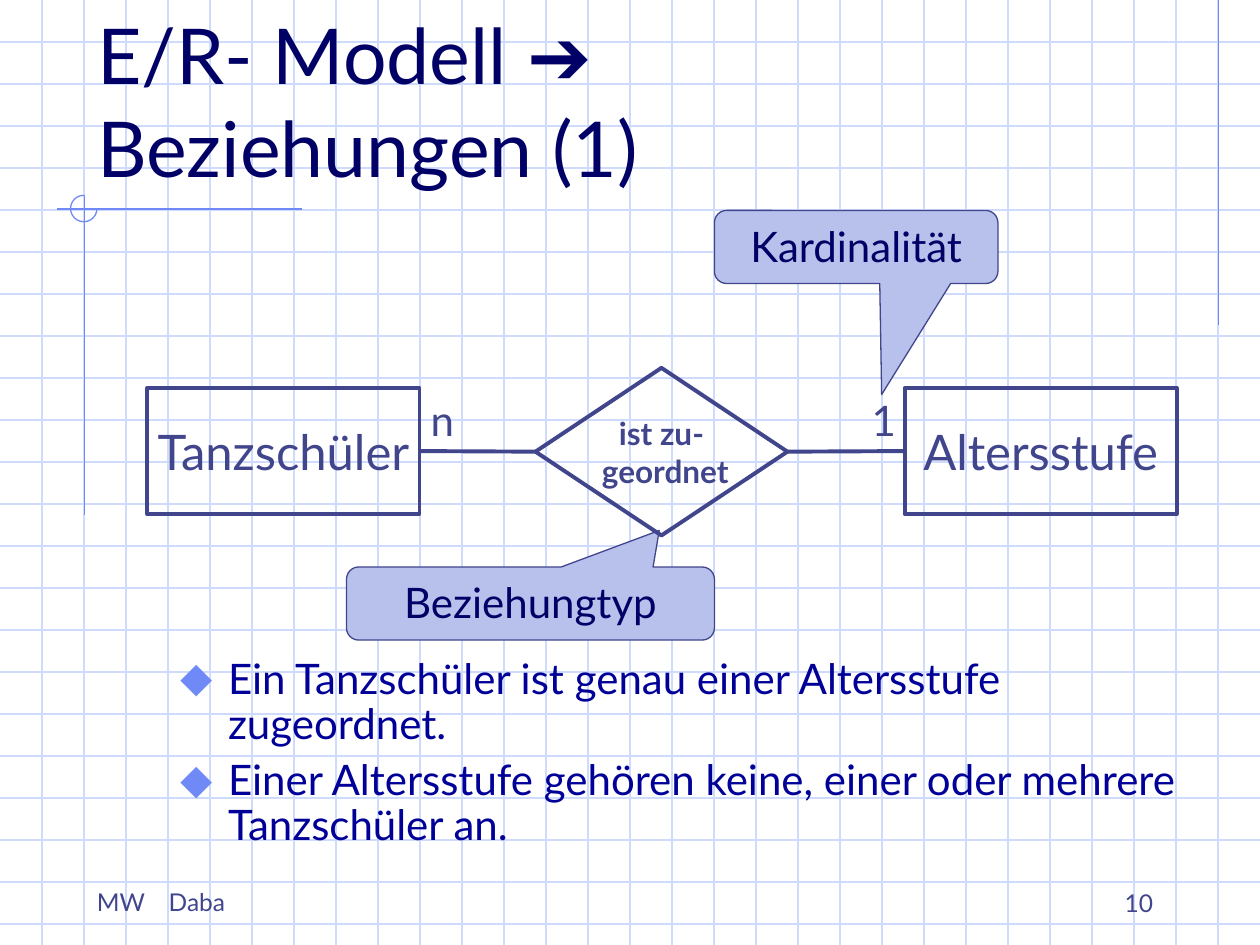
from lxml.etree import SubElement
from pptx import Presentation
from pptx.dml.color import RGBColor
from pptx.enum.shapes import MSO_CONNECTOR, MSO_SHAPE
from pptx.enum.text import MSO_ANCHOR as ANCHOR, MSO_AUTO_SIZE, PP_ALIGN as ALIGN
from pptx.oxml.ns import qn
from pptx.util import Inches, Pt

WHITE = RGBColor(0xFF, 0xFF, 0xFF)
GRID = RGBColor(0xCF, 0xDB, 0xFD)
ACCENT = RGBColor(0x6F, 0x89, 0xF7)
CALLOUT = RGBColor(0xB7, 0xC1, 0xEB)
INK = RGBColor(0x40, 0x45, 0x8C)
NAVY = RGBColor(0x00, 0x00, 0x66)
BLUE = RGBColor(0x00, 0x00, 0x99)

WIDTH, HEIGHT = 10, 7.5
GRID_STEP = 1 / 3

TITLE_LINES = [[("E/R- Modell ", "Lato"), ("➔", "Arial")], [("Beziehungen (1)", "Lato")]]
BULLETS = [
    "Ein Tanzschüler ist genau einer Altersstufe zugeordnet.",
    "Einer Altersstufe gehören keine, einer oder mehrere Tanzschüler an.",
]
ACCENT_LINES = [(9.67, 0, 9.67, 2.58), (2.4, 1.66, 0.45, 1.66), (0.67, 1.55, 0.67, 4.09)]
ENTITIES = [("Tanzschüler", (1.17, 3.08, 2.16, 1)), ("Altersstufe", (7.18, 3.08, 2.16, 1))]
RELATION = (["ist zu-", " geordnet"], (4.25, 2.92, 2, 1.33))
CARDINALITIES = [("n", (3.32, 3.08, 0.4, 0.5)), ("1", (6.82, 3.08, 0.39, 0.5))]
CALLOUTS = [  # text, place, pointer tip relative to the centre
    ("Kardinalität", (5.67, 1.67, 2.25, 0.58), (0.09, 2.02)),
    ("Beziehungtyp", (2.75, 4.5, 2.92, 0.58), (0.35, -1)),
]
FOOTER = ("MW\tDaba", (0.67, 6.99, 2.25, 0.34))
FOOTER_TAB = 0.57
PAGE = ("10", (7.17, 6.83, 2.08, 0.5))

SMALL = dict(size=Pt(14), color=INK)
LARGE = dict(size=Pt(28), color=INK)
LABEL = dict(size=Pt(24), color=INK)
CALLOUT_FONT = dict(size=Pt(24), color=NAVY)
RELATION_FONT = dict(size=Pt(18), color=INK, bold=True)
TITLE_FONT = dict(size=Pt(44), color=NAVY)
BODY_FONT = dict(size=Pt(24), color=BLUE)


def inches(box):
    return [Inches(v) for v in box]


def format_font(font, color, name="Lato", **values):
    font.color.rgb = color
    font.name = name
    for key, value in values.items():
        setattr(font, key, value)


def fill_text(tf, lines, font, align=ALIGN.LEFT, anchor=ANCHOR.TOP, wrap=True):
    tf.auto_size = MSO_AUTO_SIZE.NONE
    tf.word_wrap = wrap
    tf.vertical_anchor = anchor
    for i, line in enumerate(lines):
        p = tf.add_paragraph() if i else tf.paragraphs[0]
        p.alignment = align
        r = p.add_run()
        r.text = line
        format_font(r.font, **font)


def add_line(s, ends, color, width=0.75):
    line = s.shapes.add_connector(MSO_CONNECTOR.STRAIGHT, *inches(ends))
    line.line.color.rgb = color
    line.line.width = Pt(width)
    SubElement(line._element.spPr, qn("a:effectLst"))
    return line


def add_shape(s, kind, box, color, width, fill=None):
    sp = s.shapes.add_shape(kind, *inches(box))
    sp.shadow.inherit = False
    if fill is None:
        sp.fill.background()
    else:
        sp.fill.solid()
        sp.fill.fore_color.rgb = fill
    sp.line.color.rgb = color
    sp.line.width = Pt(width)
    return sp


def add_label(s, text, box, font, **layout):
    tf = s.shapes.add_textbox(*inches(box)).text_frame
    fill_text(tf, [text], font, **layout)
    return tf


def place(s, sp, box):
    """Move a placeholder to its box, in front of what is drawn so far."""
    sp.left, sp.top, sp.width, sp.height = inches(box)
    s.shapes._spTree.append(sp._element)


def add_bullet(p):
    pPr = p._p.get_or_add_pPr()
    pPr.set("marL", str(Inches(0.38)))
    pPr.set("indent", str(-Inches(0.38)))
    SubElement(SubElement(pPr, qn("a:buClr")), qn("a:srgbClr"), val=str(ACCENT))
    SubElement(pPr, qn("a:buSzPct"), val="110000")
    SubElement(pPr, qn("a:buChar"), char="⬥")


def draw_background(s):
    s.background.fill.solid()
    s.background.fill.fore_color.rgb = WHITE
    for i in range(1, int(HEIGHT / GRID_STEP) + 1):
        add_line(s, (0, i * GRID_STEP, WIDTH, i * GRID_STEP), GRID)
    for i in range(1, round(WIDTH / GRID_STEP)):
        add_line(s, (i * GRID_STEP, 0, i * GRID_STEP, HEIGHT), GRID)
    for ends in ACCENT_LINES:
        add_line(s, ends, ACCENT)
    ring = add_shape(s, MSO_SHAPE.ARC, (0.56, 1.55, 0.21, 0.21), ACCENT, 0.75)
    ring.adjustments[0], ring.adjustments[1] = 0, 162  # 0 to 270 degrees

    tf = add_label(s, *FOOTER, SMALL)
    p = tf.paragraphs[0]
    p.space_before = Pt(8.8)
    tabs = SubElement(p._p.get_or_add_pPr(), qn("a:tabLst"))
    SubElement(tabs, qn("a:tab"), pos=str(Inches(FOOTER_TAB)), algn="l")
    add_label(s, *PAGE, SMALL, align=ALIGN.RIGHT, anchor=ANCHOR.BOTTOM)


def draw_diagram(s):
    for text, box, tip in CALLOUTS:
        sp = add_shape(s, MSO_SHAPE.ROUNDED_RECTANGULAR_CALLOUT, box, INK, 0.75, CALLOUT)
        sp.adjustments[0], sp.adjustments[1] = tip
        fill_text(sp.text_frame, [text], CALLOUT_FONT, align=ALIGN.CENTER)

    centred = dict(align=ALIGN.CENTER, anchor=ANCHOR.MIDDLE, wrap=False)
    lines, box = RELATION
    relation = add_shape(s, MSO_SHAPE.DIAMOND, box, INK, 2.25)
    fill_text(relation.text_frame, lines, RELATION_FONT, **centred)
    for (text, box), (side, entity_side) in zip(ENTITIES, [(1, 3), (3, 1)]):
        entity = add_shape(s, MSO_SHAPE.RECTANGLE, box, INK, 2.25)
        fill_text(entity.text_frame, [text], LARGE, **centred)
        link = add_line(s, (0, 0, 1, 1), INK, 2.25)
        link.begin_connect(relation, side)
        link.end_connect(entity, entity_side)
    for text, box in CARDINALITIES:
        add_label(s, text, box, LABEL, wrap=False)


def write_texts(s):
    title, body = s.placeholders
    place(s, title, (0.67, 0.33, 8.5, 1.25))
    tf = title.text_frame
    fill_text(tf, [], TITLE_FONT, anchor=ANCHOR.BOTTOM)
    p = tf.paragraphs[0]
    p.alignment = ALIGN.LEFT
    for i, runs in enumerate(TITLE_LINES):
        if i:
            p.add_line_break()
        for text, name in runs:
            r = p.add_run()
            r.text = text
            format_font(r.font, name=name, **TITLE_FONT)

    place(s, body, (1.33, 5.17, 8.5, 2.33))
    fill_text(body.text_frame, BULLETS, BODY_FONT)
    for p in body.text_frame.paragraphs:
        p.line_spacing = 0.9
        p.space_before = Pt(6)
        add_bullet(p)


def main():
    prs = Presentation()
    prs.slide_width, prs.slide_height = Inches(WIDTH), Inches(HEIGHT)
    s = prs.slides.add_slide(prs.slide_layouts[1])
    draw_background(s)
    draw_diagram(s)
    write_texts(s)
    prs.save("out.pptx")


if __name__ == "__main__":
    main()
